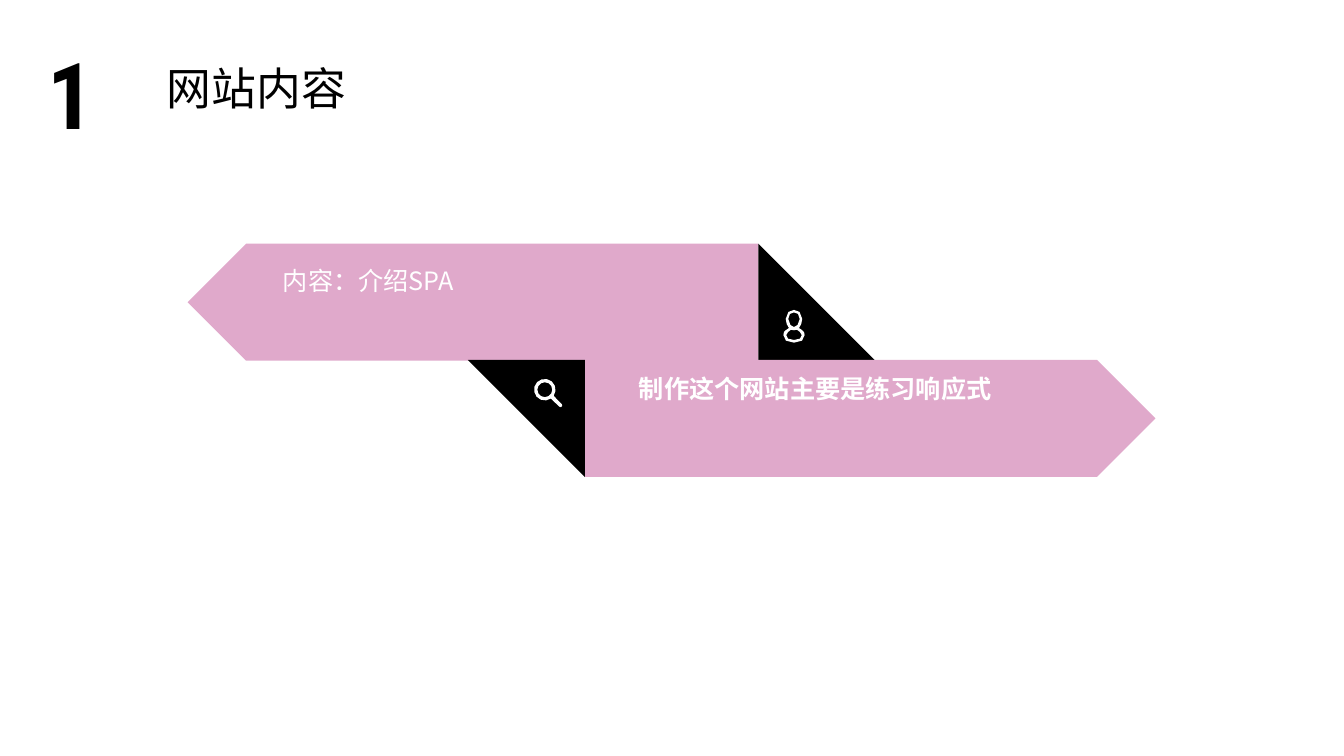
from math import cos, radians, sin

from pptx import Presentation
from pptx.dml.color import RGBColor
from pptx.enum.shapes import MSO_SHAPE
from pptx.enum.text import MSO_AUTO_SIZE, PP_ALIGN
from pptx.oxml.ns import qn
from pptx.util import Cm, Pt

THEME = {
    "black": RGBColor(0, 0, 0),
    "white": RGBColor(255, 255, 255),
    "pink": RGBColor(0xE0, 0xA9, 0xCB),
    "font": "Noto Sans CJK SC",
    "number_font": "Roboto Condensed",
    "body": 18,
    "title": 32,
    "number": 66,
}

# Lengths in centimetres.
TEXTS = [
    ("内容：介绍SPA", (6.88, 6.34, 11.0, 1.24), {"line_spacing": 1.3}),
    ("制作这个网站主要是练习响应式", (15.85, 9.27, 11.0, 1.02), {"bold": True}),
    ("网站内容", (3.95, 1.4, 5.41, 1.63),
     {"size": "title", "color": "black", "align": PP_ALIGN.JUSTIFY}),
    ("1", (0.94, 0.81, 2.31, 3.07),
     {"size": "number", "color": "black", "font": "number_font", "bold": True,
      "align": PP_ALIGN.JUSTIFY}),
]
RIBBON_WIDTH, RIBBON_HEIGHT = 14.38, 2.95
UPPER_LEFT, UPPER_TOP = 4.73, 6.14
LOWER_LEFT, LOWER_TOP = 14.74, 9.07
PERSON_ORIGIN = (20.01, 7.81)      # top centre of the head
MAGNIFIER_ORIGIN = (13.73, 9.82)   # centre of the lens
ICON_UNIT = 0.0254

# Right half of each person contour, from top to bottom.
PERSON_HALVES = [
    [(0, 0), (5.5, 2), (8.2, 9), (7.2, 14), (5, 18), (8, 20), (10, 22),
     (10.5, 25), (8, 30.5), (0, 32.5)],
    [(0, 2.5), (4, 4), (5.7, 9), (3.5, 15), (0, 17)],
    [(0, 20.2), (3, 19.7), (6, 22), (7.7, 25), (6, 28.5), (0, 29.8)],
]
LENS_OUTER, LENS_INNER, HANDLE_END, HANDLE_RADIUS = 10.7, 7.4, 22, 1.8


def mirrored_contour(half):
    """Close a right half with its mirror image."""
    return half + [(-x, y) for x, y in half[-2:0:-1]]


def arc(center, radius, start, end, steps):
    angles = [radians(start + (end - start) * step / steps) for step in range(steps + 1)]
    return [(center[0] + radius * cos(a), center[1] + radius * sin(a)) for a in angles]


def magnifier_contours():
    """Lens with a handle pointing down and to the right, and the hole in the lens."""
    tip = HANDLE_END * cos(radians(45))
    outline = arc((0, 0), LENS_OUTER, 55, 395, 12) + arc((tip, tip), HANDLE_RADIUS, -45, 135, 3)
    return [outline, arc((0, 0), LENS_INNER, 0, 330, 11)]


def paint(shape, color):
    shape.fill.solid()
    shape.fill.fore_color.rgb = THEME[color]
    shape.line.fill.background()
    shape.shadow.inherit = False


def add_preset(group, preset, box, color, rotation=0):
    shape = group.shapes.add_shape(preset, *map(Cm, box))
    shape.rotation = rotation
    paint(shape, color)


def add_icon(group, contours, origin):
    scaled = [[tuple(Cm(o + v * ICON_UNIT) for o, v in zip(origin, point))
               for point in contour] for contour in contours]
    builder = group.shapes.build_freeform(*scaled[0][0])
    builder.add_line_segments(scaled[0][1:])
    for contour in scaled[1:]:
        builder.move_to(*contour[0])
        builder.add_line_segments(contour[1:])
    paint(builder.convert_to_shape(), "white")


def add_ribbon(slide, left, top, fold_left, rotations, contours, origin):
    """Add an arrow ribbon with its folded corner and the icon on the fold."""
    group = slide.shapes.add_group_shape()
    add_preset(group, MSO_SHAPE.PENTAGON, (left, top, RIBBON_WIDTH, RIBBON_HEIGHT),
               "pink", rotations[0])
    add_preset(group, MSO_SHAPE.RIGHT_TRIANGLE,
               (fold_left, top, RIBBON_HEIGHT, RIBBON_HEIGHT), "black", rotations[1])
    add_icon(group, contours, origin)


def add_text(slide, text, box, *, size="body", color="white", font="font",
             bold=False, align=None, line_spacing=None):
    frame = slide.shapes.add_textbox(*map(Cm, box)).text_frame
    frame.word_wrap = True
    frame.auto_size = MSO_AUTO_SIZE.SHAPE_TO_FIT_TEXT
    paragraph = frame.paragraphs[0]
    paragraph.alignment = align
    paragraph.line_spacing = line_spacing
    run = paragraph.add_run()
    run.text = text
    run.font.size = Pt(THEME[size])
    run.font.bold = bold
    run.font.color.rgb = THEME[color]
    run.font.name = THEME[font]
    properties = run.font._element
    east_asian = properties.makeelement(qn("a:ea"), {"typeface": THEME[font]})
    properties.find(qn("a:latin")).addnext(east_asian)


def main():
    presentation = Presentation()
    presentation.slide_width, presentation.slide_height = Cm(33.87), Cm(19.05)
    slide = presentation.slides.add_slide(presentation.slide_layouts[6])
    person = [mirrored_contour(half) for half in PERSON_HALVES]
    add_ribbon(slide, UPPER_LEFT, UPPER_TOP, UPPER_LEFT + RIBBON_WIDTH,
               (180, 0), person, PERSON_ORIGIN)
    add_ribbon(slide, LOWER_LEFT, LOWER_TOP, LOWER_LEFT - RIBBON_HEIGHT,
               (0, 180), magnifier_contours(), MAGNIFIER_ORIGIN)
    for text, box, style in TEXTS:
        add_text(slide, text, box, **style)
    presentation.save("out.pptx")


if __name__ == "__main__":
    main()
